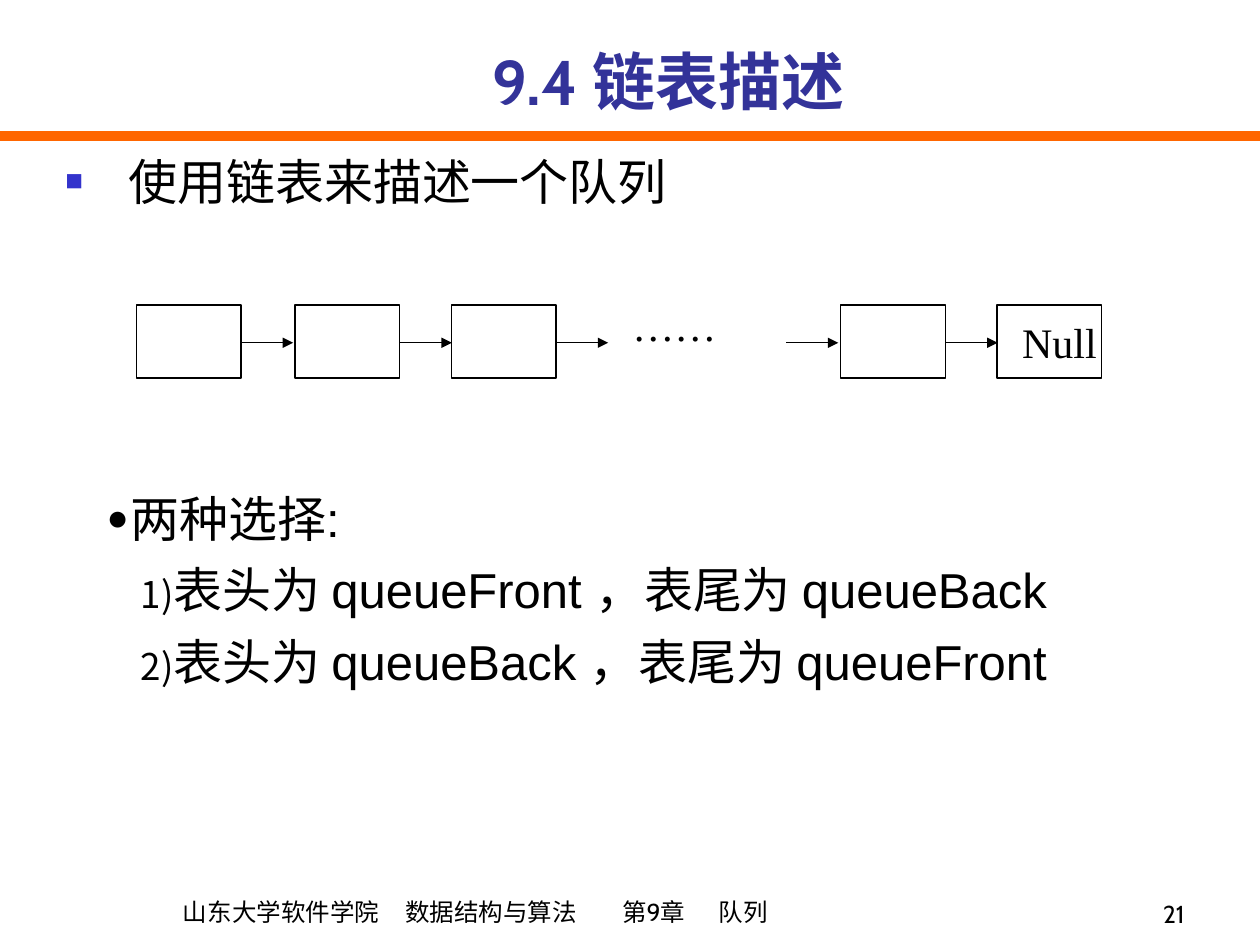
from lxml.etree import SubElement
from pptx import Presentation
from pptx.dml.color import RGBColor
from pptx.enum.shapes import MSO_CONNECTOR as Connector, MSO_SHAPE as Shape
from pptx.enum.text import MSO_ANCHOR as Anchor, PP_ALIGN as Align
from pptx.oxml.ns import qn
from pptx.util import Cm, Pt

BLACK = "000000"
NODE_TOP, NODE_WIDTH, NODE_HEIGHT = 6.15, 2.11, 1.47
LINK_Y, LINK_LENGTH = 6.91, 1.05
NODE_LEFTS = (2.75, 5.95, 9.1, 16.95, 20.1)
LAST_LINK_LEFT = 15.85


def color(hex_code):
    return RGBColor.from_string(hex_code)


def set_bullet(paragraph, char=None, bullet_color=BLACK, size=75, left=0.0, hang=0.64):
    """Add a hanging bullet, or automatic "1)" numbering when no char is given."""
    props = paragraph._p.get_or_add_pPr()
    SubElement(SubElement(props, qn("a:buClr")), qn("a:srgbClr"), val=bullet_color)
    SubElement(props, qn("a:buSzPct"), val=str(size * 1000))
    SubElement(props, qn("a:buFont"), typeface="Arial" if char else "Cabin")
    if char:
        SubElement(props, qn("a:buChar"), char=char)
    else:
        SubElement(props, qn("a:buAutoNum"), type="arabicParenR")
    props.set("marL", str(Cm(left + hang)))
    props.set("indent", str(-Cm(hang)))


def set_tabs(paragraph, stops):
    tabs = SubElement(paragraph._p.get_or_add_pPr(), qn("a:tabLst"))
    for stop in stops:
        SubElement(tabs, qn("a:tab"), pos=str(Cm(stop)), algn="l")


def write(paragraph, text, font="Cabin", size=28, hex_code=BLACK, bold=False,
          align=Align.LEFT, before=0):
    paragraph.alignment = align
    paragraph.space_before = Pt(before)
    run = paragraph.add_run()
    run.text = text
    run.font.name = font
    run.font.size = Pt(size)
    run.font.bold = bold
    run.font.color.rgb = color(hex_code)


def add_text_frame(slide, left, top, width, height, anchor=Anchor.TOP):
    frame = slide.shapes.add_textbox(Cm(left), Cm(top), Cm(width), Cm(height)).text_frame
    frame.word_wrap = True
    frame.vertical_anchor = anchor
    return frame


def add_line(slide, left, y, length, hex_code=BLACK, weight=0.75, arrow=False):
    line = slide.shapes.add_connector(
        Connector.STRAIGHT, Cm(left), Cm(y), Cm(left + length), Cm(y))
    line.line.color.rgb = color(hex_code)
    line.line.width = Pt(weight)
    if arrow:
        SubElement(line.line._get_or_add_ln(), qn("a:tailEnd"), type="triangle")
    SubElement(line._element.spPr, qn("a:effectLst"))


def add_node(slide, left):
    node = slide.shapes.add_shape(
        Shape.RECTANGLE, Cm(left), Cm(NODE_TOP), Cm(NODE_WIDTH), Cm(NODE_HEIGHT))
    node.shadow.inherit = False
    node.fill.background()
    node.line.color.rgb = color(BLACK)
    node.line.width = Pt(0.75)
    return node


def add_title(slide):
    title = slide.shapes.title
    title.left, title.top, title.width, title.height = Cm(2.77), Cm(0), Cm(21.41), Cm(2.51)
    title.text_frame.vertical_anchor = Anchor.BOTTOM
    write(title.text_frame.paragraphs[0], "9.4 链表描述", size=36,
          hex_code="333399", bold=True, align=Align.CENTER)


def add_linked_list(slide):
    nodes = [add_node(slide, left) for left in NODE_LEFTS]
    link_lefts = [left + NODE_WIDTH for left in NODE_LEFTS[:-1]] + [LAST_LINK_LEFT]
    for left in link_lefts:
        add_line(slide, left, LINK_Y, LINK_LENGTH, arrow=True)

    null = nodes[-1].text_frame
    null.word_wrap = False
    null.vertical_anchor = Anchor.MIDDLE
    null.margin_right = Cm(0.1)
    write(null.paragraphs[0], "Null", font="Times New Roman", size=24, align=Align.RIGHT)

    gap = add_text_frame(slide, 12.5, 5.92, 2.97, 1.27)
    write(gap.paragraphs[0], "……", font="Times New Roman", size=24)


def add_choices(slide):
    frame = add_text_frame(slide, 1.9, 9.73, 20.96, 4.32)
    heading = frame.paragraphs[0]
    set_bullet(heading, "●", hang=0.48)
    write(heading, "两种选择:", font="Arial")
    for front, back in (("queueFront", "queueBack"), ("queueBack", "queueFront")):
        choice = frame.add_paragraph()
        choice.level = 1
        set_bullet(choice, left=0.69)
        for text, font in (("表头为 ", "Times New Roman"), (f"{front} ，", "Arial"),
                           ("表尾为 ", "Times New Roman"), (back, "Arial")):
            write(choice, text, font=font, before=7)


def add_footer(slide):
    course = add_text_frame(slide, 3.44, 17.53, 14.64, 1.27, Anchor.BOTTOM).paragraphs[0]
    set_tabs(course, (4.48, 8.85, 10.8))
    write(course, "山东大学软件学院\t数据结构与算法\t第9章\t队列", size=14)
    number = add_text_frame(slide, 18.85, 17.58, 5.28, 1.27, Anchor.BOTTOM)
    write(number.paragraphs[0], "21", size=14, align=Align.RIGHT)


def main():
    deck = Presentation()
    deck.slide_width, deck.slide_height = Cm(25.4), Cm(19.05)
    slide = deck.slides.add_slide(deck.slide_layouts[5])

    add_line(slide, 0, 2.74, 25.4, hex_code="FF6600", weight=6)
    add_title(slide)
    intro = add_text_frame(slide, 1.07, 2.92, 23.83, 2).paragraphs[0]
    set_bullet(intro, "■", bullet_color="3333CC", size=60, hang=1.27)
    write(intro, "使用链表来描述一个队列")
    add_linked_list(slide)
    add_choices(slide)
    add_footer(slide)
    deck.save("out.pptx")


if __name__ == "__main__":
    main()
